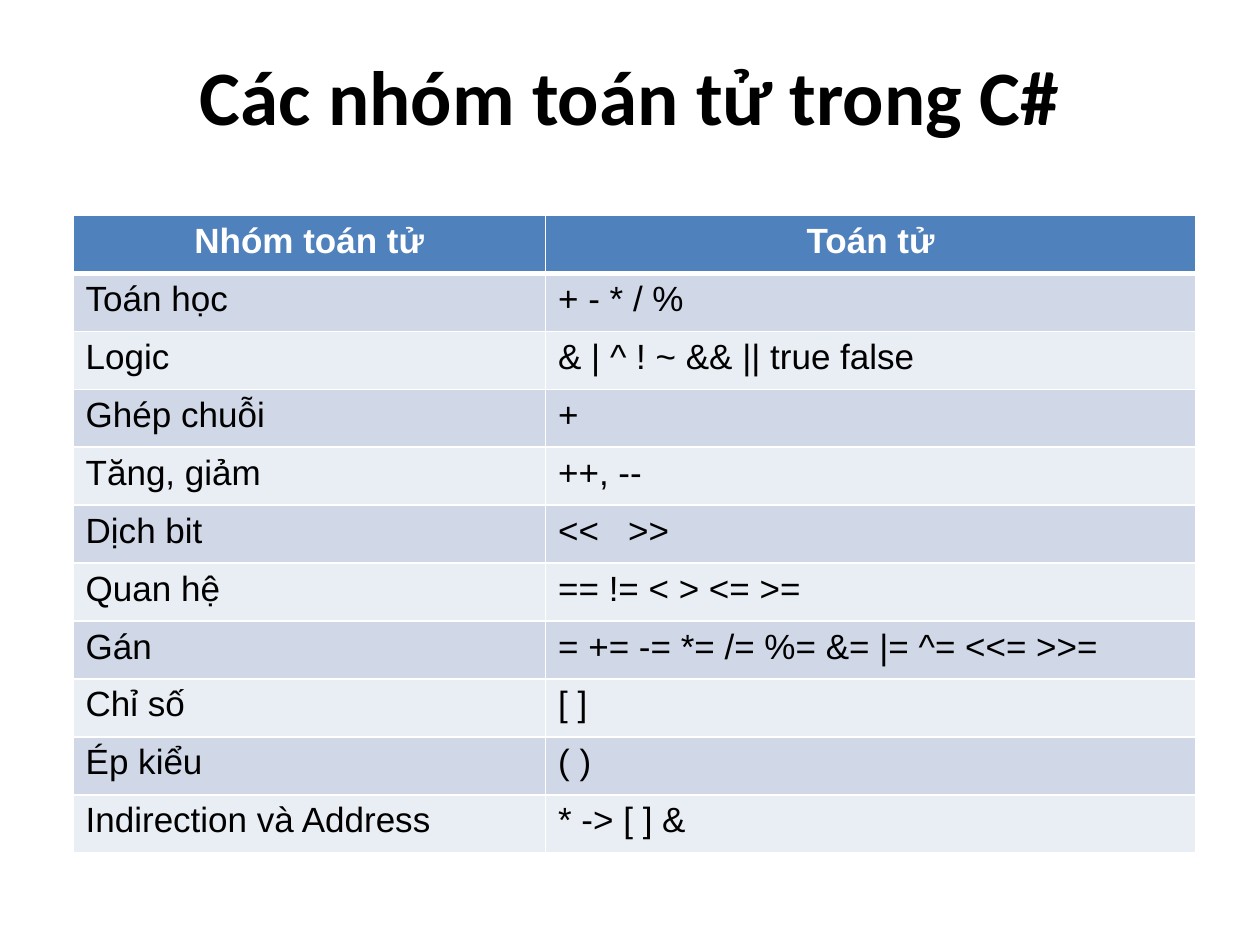
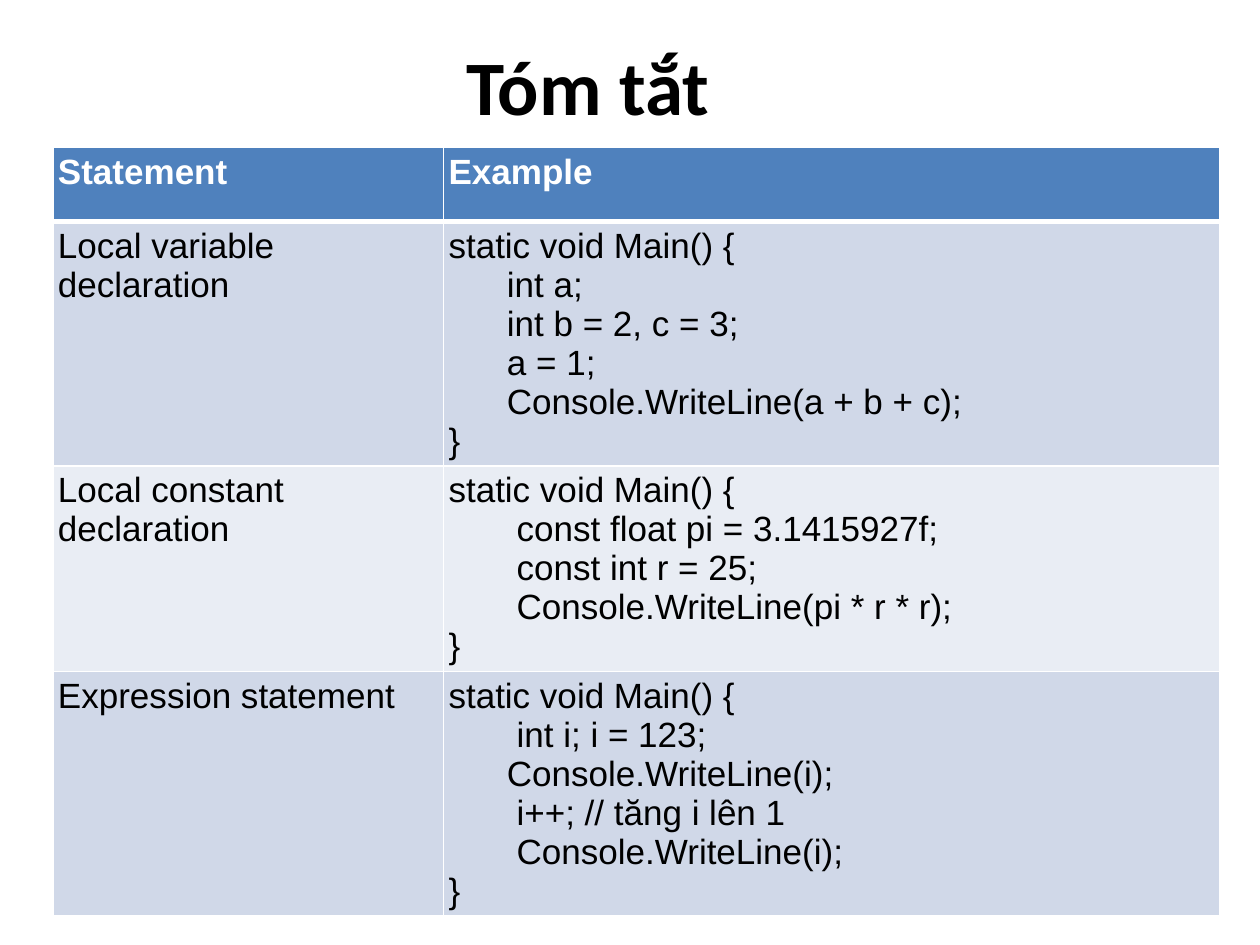
from dataclasses import dataclass

from lxml.etree import SubElement
from pptx import Presentation
from pptx.dml.color import RGBColor
from pptx.enum.text import MSO_ANCHOR, MSO_AUTO_SIZE, PP_ALIGN
from pptx.oxml.ns import qn
from pptx.util import Inches, Pt


@dataclass(frozen=True)
class Theme:
    text: RGBColor = RGBColor(0, 0, 0)
    background: RGBColor = RGBColor(255, 255, 255)
    header: RGBColor = RGBColor.from_string("4F81BD")
    bands: tuple = (RGBColor.from_string("D0D8E8"), RGBColor.from_string("E9EDF4"))
    title_font: str = "Calibri"
    body_font: str = "Arial"
    title_size: int = 44
    body_size: int = 20
    thin_border: int = 1
    thick_border: int = 3
    space_width: float = 0.0772


class SlideBuilder:
    def __init__(self, deck, theme):
        self.deck = deck
        self.theme = theme
        self.page = None

    def add_page(self):
        self.page = self.deck.slides.add_slide(self.deck.slide_layouts[5])
        self.page.background.fill.solid()
        self.page.background.fill.fore_color.rgb = self.theme.background

    def add_span(self, para, text, font, size, color, bold):
        span = para.add_run()
        span.text = text
        span.font.name = font
        span.font.size = Pt(size)
        span.font.color.rgb = color
        span.font.bold = bold

    def add_title(self, text, left, top, width, height):
        box = self.page.shapes.title
        box.left, box.top = Inches(left), Inches(top)
        box.width, box.height = Inches(width), Inches(height)
        frame = box.text_frame
        frame.auto_size = MSO_AUTO_SIZE.NONE
        frame.vertical_anchor = MSO_ANCHOR.MIDDLE
        para = frame.paragraphs[0]
        para.alignment = PP_ALIGN.CENTER
        self.add_span(para, text, self.theme.title_font, self.theme.title_size,
                      self.theme.text, True)

    def add_table(self, left, top, column_widths, row_heights, rows,
                  header_alignment=PP_ALIGN.LEFT, inset=None):
        table = self.page.shapes.add_table(
            len(rows), len(column_widths), Inches(left), Inches(top),
            Inches(sum(column_widths)), Inches(sum(row_heights))).table
        for column, width in zip(table.columns, column_widths):
            column.width = Inches(width)
        for row, height in zip(table.rows, row_heights):
            row.height = Inches(height)
        for row_index, row in enumerate(rows):
            for column_index, text in enumerate(row):
                cell = table.cell(row_index, column_index)
                if inset is not None:
                    cell.margin_left = cell.margin_right = Inches(inset)
                    cell.margin_top = cell.margin_bottom = Inches(inset)
                self.format_cell(cell, row_index)
                alignment = header_alignment if row_index == 0 else PP_ALIGN.LEFT
                self.fill_cell(cell, text, row_index == 0, alignment)

    def format_cell(self, cell, row_index):
        theme = self.theme
        widths = {
            "a:lnL": theme.thin_border,
            "a:lnR": theme.thin_border,
            "a:lnT": theme.thick_border if row_index == 1 else theme.thin_border,
            "a:lnB": theme.thick_border if row_index == 0 else theme.thin_border,
        }
        properties = cell._tc.get_or_add_tcPr()
        for side, width in widths.items():
            line = SubElement(properties, qn(side), w=str(Pt(width)))
            fill = SubElement(line, qn("a:solidFill"))
            SubElement(fill, qn("a:srgbClr"), val=str(theme.background))
        cell.fill.solid()
        cell.fill.fore_color.rgb = (
            theme.header if row_index == 0 else theme.bands[(row_index - 1) % 2])

    def fill_cell(self, cell, content, is_header, alignment):
        theme = self.theme
        color = theme.background if is_header else theme.text
        lines = [(0, content)] if isinstance(content, str) else content
        for index, (indent, text) in enumerate(lines):
            frame = cell.text_frame
            para = frame.paragraphs[0] if index == 0 else frame.add_paragraph()
            para.alignment = alignment
            if indent:
                margin = Inches(indent * theme.space_width)
                para._p.get_or_add_pPr().set("marL", str(margin))
            self.add_span(para, text, theme.body_font, theme.body_size, color, is_header)


def main_method(*statements):
    return [(0, "static void Main() {"), *statements, (0, "}")]


OPERATOR_GROUPS = [
    ("Nhóm toán tử", "Toán tử"),
    ("Toán học", "+ - * / %"),
    ("Logic", "& | ^ ! ~ && || true false"),
    ("Ghép chuỗi", "+"),
    ("Tăng, giảm", "++, --"),
    ("Dịch bit", "<<   >>"),
    ("Quan hệ", "== != < > <= >="),
    ("Gán", "= += -= *= /= %= &= |= ^= <<= >>="),
    ("Chỉ số", "[ ]"),
    ("Ép kiểu", "( )"),
    ("Indirection và Address", "* -> [ ] &"),
]

STATEMENTS = [
    ("Statement", "Example"),
    ("Local variable declaration", main_method(
        (6, "int a;"),
        (6, "int b = 2, c = 3;"),
        (6, "a = 1;"),
        (6, "Console.WriteLine(a + b + c);"))),
    ("Local constant declaration", main_method(
        (7, "const float pi = 3.1415927f;"),
        (7, "const int r = 25;"),
        (7, "Console.WriteLine(pi * r * r);"))),
    ("Expression statement", main_method(
        (7, "int i; i = 123;"),
        (6, "Console.WriteLine(i);"),
        (7, "i++; // tăng i lên 1"),
        (7, "Console.WriteLine(i);"))),
]


def main():
    deck = Presentation()
    deck.slide_width, deck.slide_height = Inches(10), Inches(7.5)
    builder = SlideBuilder(deck, Theme())

    builder.add_page()
    builder.add_title("Các nhóm toán tử trong C#", 0.5, 0.42, 9, 0.67)
    builder.add_table(0.58, 1.71, [3.75, 5.16], [0.46] * len(OPERATOR_GROUPS),
                      OPERATOR_GROUPS, header_alignment=PP_ALIGN.CENTER)

    builder.add_page()
    builder.add_title("Tóm tắt", 3.59, 0.25, 2.15, 0.84)
    builder.add_table(0.42, 1.17, [3.1, 6.16], [0.59, 1.9, 1.6, 1.9],
                      STATEMENTS, inset=0.04)

    deck.save("out.pptx")


if __name__ == "__main__":
    main()
